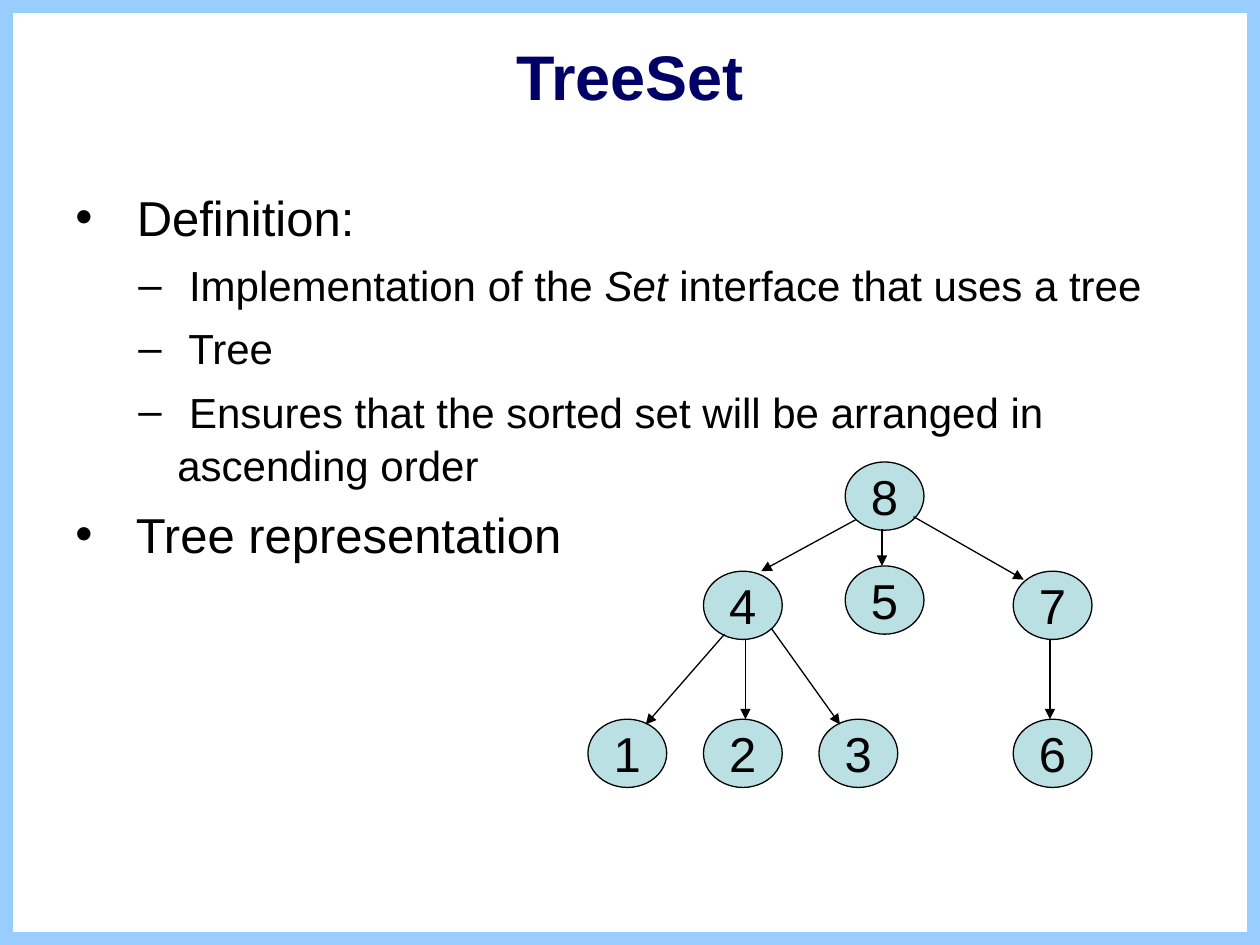
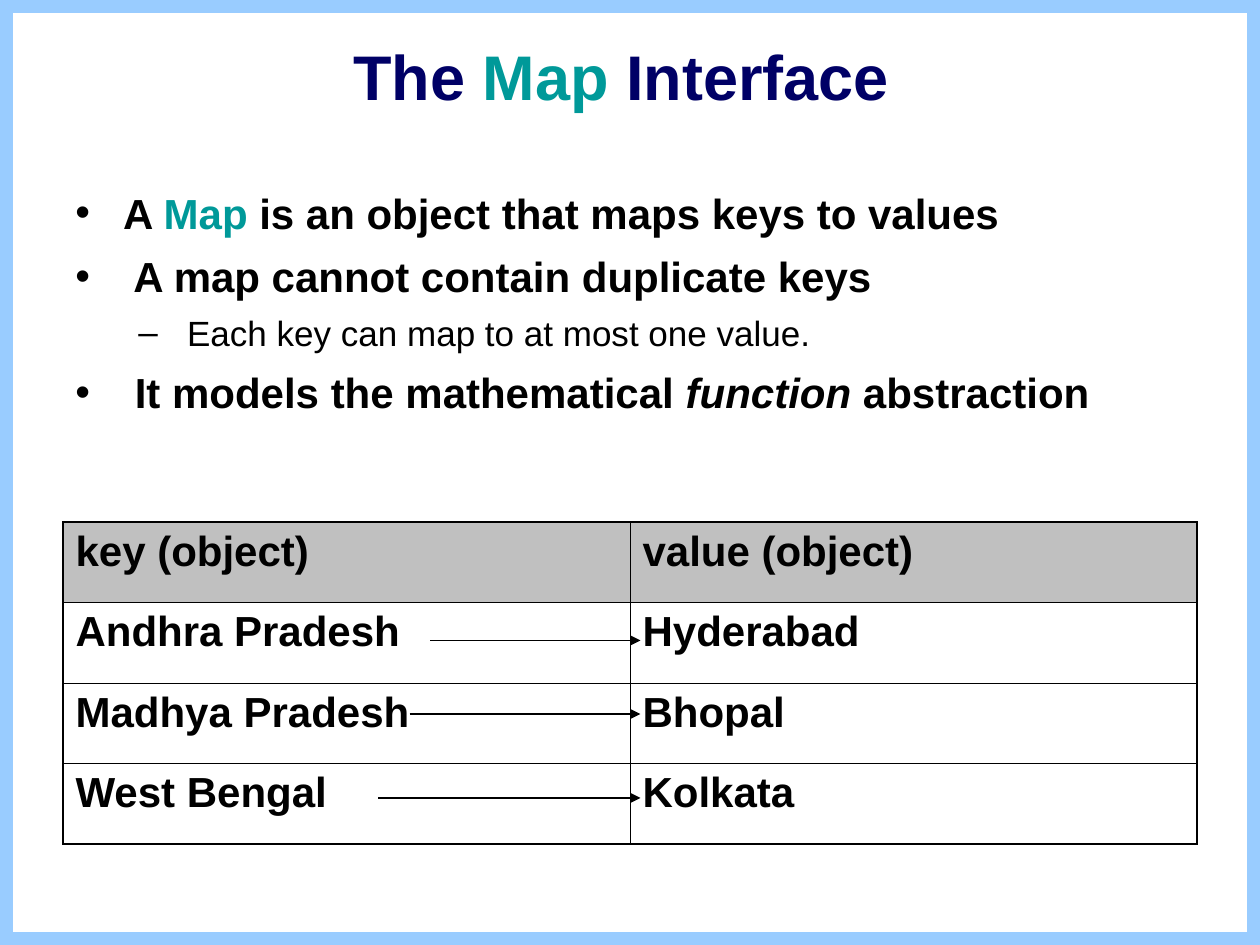
import lxml.etree
import pptx
import pptx.dml.color
import pptx.enum.shapes
import pptx.enum.text
import pptx.oxml.ns
import pptx.util

COLS, ROWS = 120, 90
SHAPE = pptx.enum.shapes.MSO_SHAPE
CENTER = pptx.enum.text.PP_ALIGN.CENTER
MIDDLE = pptx.enum.text.MSO_ANCHOR.MIDDLE
Pt = pptx.util.Pt


def rgb(code):
    return pptx.dml.color.RGBColor.from_string(code)


def sub(parent, tag, **attrs):
    """Append a DrawingML element to parent."""
    return lxml.etree.SubElement(parent, pptx.oxml.ns.qn("a:" + tag), attrs)


class Deck:
    FONT = "Arial"
    INK, NAVY, TEAL = "000000", "000066", "009999"
    FRAME, NODE, HEADER = "99CCFF", "BBE0E3", "C0C0C0"
    # bullet sign, text indent, hanging indent (inches) for each level
    LEVELS = [("•", 0.38, -0.38), ("–", 0.81, -0.31)]

    def __init__(self):
        self.prs = pptx.Presentation()
        self.prs.slide_width = pptx.util.Inches(10)
        self.prs.slide_height = pptx.util.Inches(7.5)
        self.s = None

    def x(self, col):
        return round(self.prs.slide_width * col / COLS)

    def y(self, row):
        return round(self.prs.slide_height * row / ROWS)

    def box(self, col, row, width, height):
        return self.x(col), self.y(row), self.x(width), self.y(height)

    def runs(self, p, parts, size, color=INK, bold=False):
        """Add runs; a part is a text or a (text, changes) pair."""
        for part in parts:
            text, changes = (part, {}) if isinstance(part, str) else part
            r = p.add_run()
            r.text = text
            r.font.name = self.FONT
            r.font.size = Pt(size)
            r.font.bold = bold
            r.font.italic = changes.get("italic", False)
            r.font.color.rgb = rgb(changes.get("color", color))

    def shape(self, kind, place, line, weight, fill=None):
        sp = self.s.shapes.add_shape(kind, *self.box(*place))
        sp.shadow.inherit = False
        if fill:
            sp.fill.solid()
            sp.fill.fore_color.rgb = rgb(fill)
        else:
            sp.fill.background()
        sp.line.color.rgb = rgb(line)
        sp.line.width = Pt(weight)
        return sp

    def slide(self, *title):
        """Start a framed slide with a title."""
        self.s = self.prs.slides.add_slide(self.prs.slide_layouts[5])
        self.shape(SHAPE.RECTANGLE, (0, 0, COLS, ROWS), self.FRAME, 15)
        sp = self.s.shapes.title
        sp.left, sp.top, sp.width, sp.height = self.box(6, 2, 108, 10.4)
        tf = sp.text_frame
        tf.vertical_anchor = MIDDLE
        tf.paragraphs[0].alignment = CENTER
        self.runs(tf.paragraphs[0], title, 36, self.NAVY, True)

    def bullets(self, height, items, sizes, bold_top=False):
        """Items are (level, parts); sizes gives one text size per level."""
        tf = self.s.shapes.add_textbox(*self.box(6, 17, 108, height)).text_frame
        tf.word_wrap = True
        for n, (level, parts) in enumerate(items):
            p = tf.add_paragraph() if n else tf.paragraphs[0]
            sign, left, hang = self.LEVELS[level]
            p.level = level
            p.line_spacing = 1.05
            p.space_before = Pt(sizes[level] // 4)
            pPr = p._p.get_or_add_pPr()
            pPr.set("marL", str(pptx.util.Inches(left)))
            pPr.set("indent", str(pptx.util.Inches(hang)))
            sub(sub(pPr, "buClr"), "srgbClr", val=self.INK)
            sub(pPr, "buFont", typeface=self.FONT)
            sub(pPr, "buChar", char=sign)
            self.runs(p, parts, sizes[level], bold=bold_top and level == 0)

    def node(self, col, row, label):
        sp = self.shape(SHAPE.OVAL, (col, row, 7.5, 6.5), self.INK, 0.75, self.NODE)
        tf = sp.text_frame
        tf.word_wrap = False
        tf.vertical_anchor = MIDDLE
        tf.paragraphs[0].alignment = CENTER
        self.runs(tf.paragraphs[0], [label], 28)

    def arrow(self, col1, row1, col2, row2):
        c = self.s.shapes.add_connector(
            pptx.enum.shapes.MSO_CONNECTOR.STRAIGHT,
            self.x(col1), self.y(row1), self.x(col2), self.y(row2))
        c.line.color.rgb = rgb(self.INK)
        c.line.width = Pt(0.75)
        sub(c.line._get_or_add_ln(), "tailEnd", type="triangle")
        sub(c._element.spPr, "effectLst")

    def borders(self, cell, outer):
        """Rule the four sides; outer holds the sides on the table's edge."""
        tcPr = cell._tc.get_or_add_tcPr()
        for side in "LRTB":
            weight = Pt(1.08 if side in outer else 0.45)
            ln = sub(tcPr, "ln" + side, w=str(weight))
            sub(sub(ln, "solidFill"), "srgbClr", val=self.INK)

    def table(self, place, rows):
        last_row, last_col = len(rows) - 1, len(rows[0]) - 1
        frame = self.s.shapes.add_table(last_row + 1, last_col + 1, *self.box(*place))
        tbl = frame.table
        tbl.first_row = tbl.horz_banding = False
        for i, row in enumerate(rows):
            for j, text in enumerate(row):
                cell = tbl.cell(i, j)
                edges = {"L": j == 0, "R": j == last_col, "T": i == 0, "B": i == last_row}
                self.borders(cell, [side for side, on in edges.items() if on])
                if i == 0:
                    cell.fill.solid()
                    cell.fill.fore_color.rgb = rgb(self.HEADER)
                else:
                    cell.fill.background()
                p = cell.text_frame.paragraphs[0]
                p.space_before = Pt(6)
                self.runs(p, [text], 24, bold=True)


def tree_set(d):
    d.slide("TreeSet")
    d.bullets(37, [
        (0, [" Definition:"]),
        (1, [" Implementation of the ", ("Set ", {"italic": True}),
             "interface that uses a tree"]),
        (1, [" Tree"]),
        (1, [" Ensures that the sorted set will be arranged in ascending order"]),
        (0, [" Tree representation"]),
    ], (28, 24))
    nodes = [(80.5, 44, "8"),
             (67, 54.4, "4"), (80.5, 53.9, "5"), (96.5, 54.4, "7"),
             (56, 68.5, "1"), (67, 68.5, "2"), (78, 68.5, "3"), (96.5, 68.5, "6")]
    for node in nodes:
        d.node(*node)
    edges = [(81.5, 49.5, 72.5, 54.4), (84, 50.4, 84, 53.9), (87, 49.2, 97.5, 55.2),
             (100, 60.9, 100, 68.5),
             (69, 60.4, 61.5, 69), (71, 60.9, 71, 68.5), (73.5, 59.9, 80, 69)]
    for edge in edges:
        d.arrow(*edge)


def map_interface(d):
    map_word = ("Map", {"color": d.TEAL})
    d.slide("The ", map_word, " Interface ")
    d.bullets(30.7, [
        (0, ["A ", map_word, " is an object that maps keys to values"]),
        (0, [" A map cannot contain duplicate keys"]),
        (1, [" Each key can map to at most one value."]),
        (0, [" It models the mathematical ", ("function", {"italic": True}),
             " abstraction"]),
    ], (24, 20), bold_top=True)
    d.table((6, 49.7, 108, 30.7), [
        ("key (object)", "value (object)"),
        ("Andhra Pradesh", "Hyderabad"),
        ("Madhya Pradesh", "Bhopal"),
        ("West Bengal", "Kolkata"),
    ])
    for start, row in [(41, 61), (39, 68), (36, 76)]:
        d.arrow(start, row, 61, row)


def main():
    d = Deck()
    tree_set(d)
    map_interface(d)
    d.prs.save("out.pptx")


if __name__ == "__main__":
    main()
